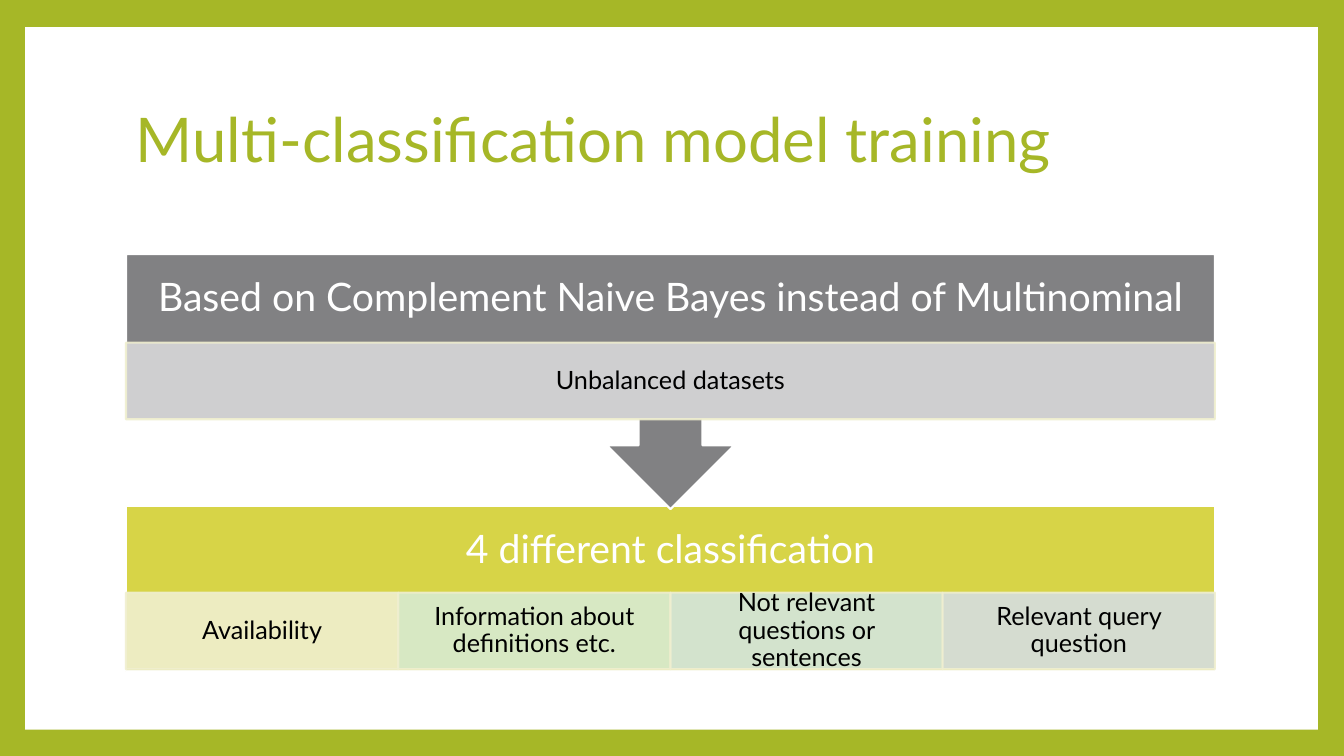
from lxml.etree import SubElement
from pptx import Presentation
from pptx.dml.color import RGBColor
from pptx.enum.shapes import MSO_SHAPE
from pptx.enum.text import MSO_ANCHOR, PP_ALIGN
from pptx.oxml.ns import qn
from pptx.util import Inches, Pt

GREEN, WHITE, BLACK, CREAM = "A6B727", "FFFFFF", "000000", "F0EFCF"
LEFT, WIDTH = 1.25, 10.8


def rgb(color):
    return RGBColor.from_string(color)


class SlideBuilder:
    """Holds the font and the slide being built."""

    def __init__(self, slide, font):
        self.s = slide
        self.font = font

    def background(self, color):
        fill = self.s.background.fill
        fill.solid()
        fill.fore_color.rgb = rgb(color)

    def shape(self, kind, box, fill, line=None, opacity=100):
        sp = self.s.shapes.add_shape(kind, *map(Inches, box))
        sp.shadow.inherit = False
        sp.fill.solid()
        sp.fill.fore_color.rgb = rgb(fill)
        if line:
            sp.line.color.rgb = rgb(line)
            sp.line.width = Pt(1.5)
        else:
            sp.line.fill.background()
        if opacity < 100:
            for clr in sp._element.spPr.iter(qn("a:srgbClr")):
                SubElement(clr, qn("a:alpha"), val=str(opacity * 1000))
        return sp

    def label(self, sp, text, size, color, insets, align=PP_ALIGN.CENTER):
        tf = sp.text_frame
        tf.word_wrap = True
        tf.vertical_anchor = MSO_ANCHOR.MIDDLE
        tf.margin_left = tf.margin_right = Inches(insets[0])
        tf.margin_top = tf.margin_bottom = Inches(insets[1])
        p = tf.paragraphs[0]
        p.alignment = align
        p.line_spacing = 0.9
        r = p.add_run()
        r.text = text
        r.font.name = self.font
        r.font.size = Pt(size)
        r.font.color.rgb = rgb(color)

    def text(self, box, *style):
        self.label(self.s.shapes.add_textbox(*map(Inches, box)), *style)

    def cell(self, box, text, fill):
        sp = self.shape(MSO_SHAPE.RECTANGLE, box, fill, CREAM, 90)
        self.label(sp, text, 18, BLACK, (0.14, 0.03))

    def step(self, kind, top, height, fill, heading, cells_top, cells, rotation=0):
        sp = self.shape(kind, (LEFT, top, WIDTH, height), fill, WHITE)
        sp.rotation = rotation
        self.text((LEFT, top, WIDTH, 0.89), heading, 28, WHITE, (0.22, 0.22))
        w = WIDTH / len(cells)
        for i, (text, color) in enumerate(cells):
            self.cell((LEFT + i * w, cells_top, w, 0.76), text, color)


prs = Presentation()
prs.slide_width, prs.slide_height = Inches(13.33), Inches(7.5)
b = SlideBuilder(prs.slides.add_slide(prs.slide_layouts[6]), "Lato")

# Frame and title
b.background(GREEN)
b.shape(MSO_SHAPE.RECTANGLE, (0.25, 0.27, 12.82, 6.97), WHITE)
b.text((LEFT, 0.67, WIDTH, 1.48), "Multi-classification model training",
       44, GREEN, (0.1, 0.05), PP_ALIGN.LEFT)

# Classes, placed first so the arrow tip lies on top
b.step(MSO_SHAPE.RECTANGLE, 5.02, 1.64, "D7D447", "4 different classification", 5.88, [
    ("Availability", "F0EFCF"),
    ("Information about definitions etc.", "D8EBD1"),
    ("Not relevant questions or sentences", "D3E5DC"),
    ("Relevant query question", "D5DDDF"),
])

# Model choice, with the arrow turned to point down
b.step(MSO_SHAPE.UP_ARROW_CALLOUT, 2.52, 2.53, "818183",
       "Based on Complement Naive Bayes instead of Multinominal", 3.4,
       [("Unbalanced datasets", "D8D8D9")], rotation=180)

prs.save("out.pptx")
